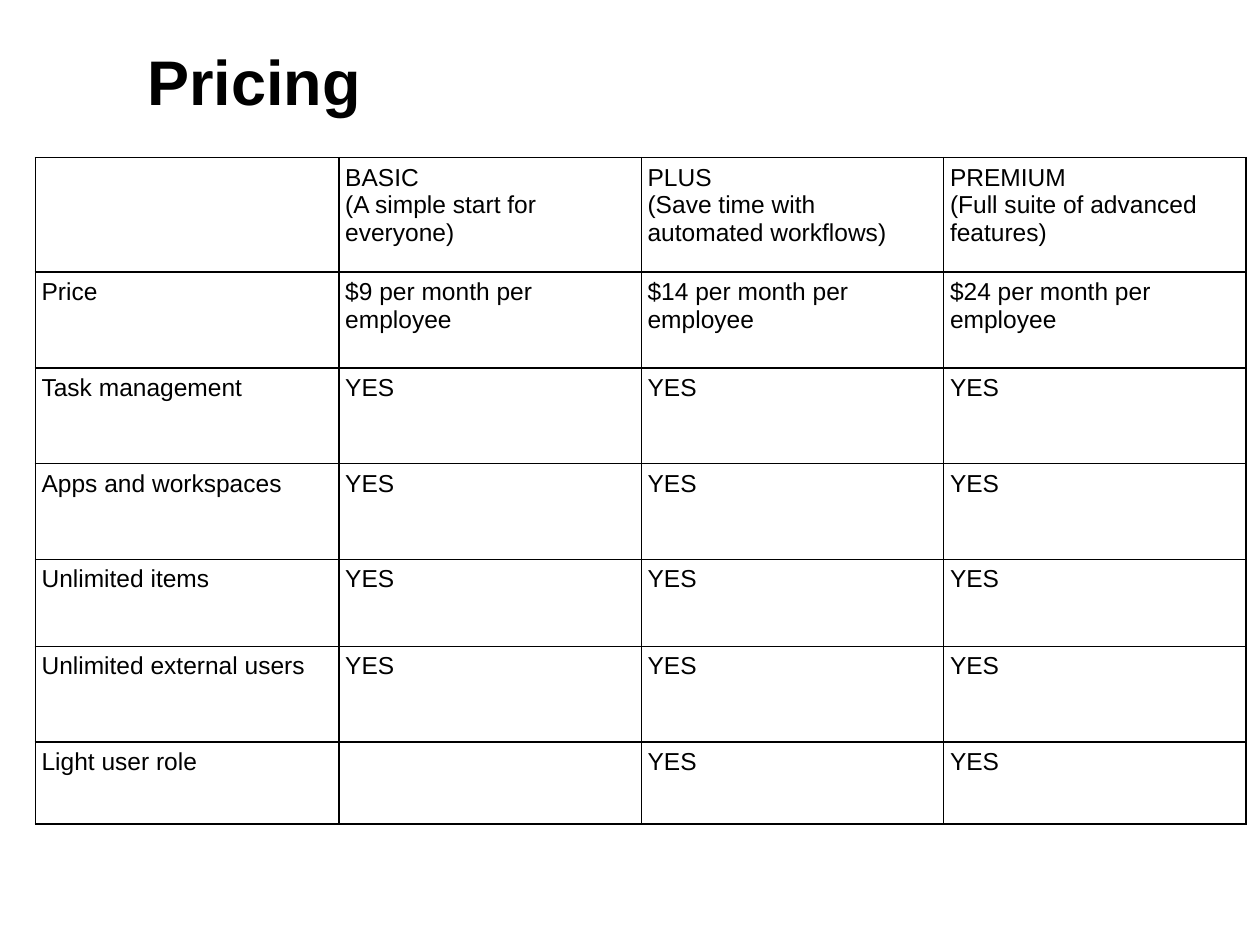
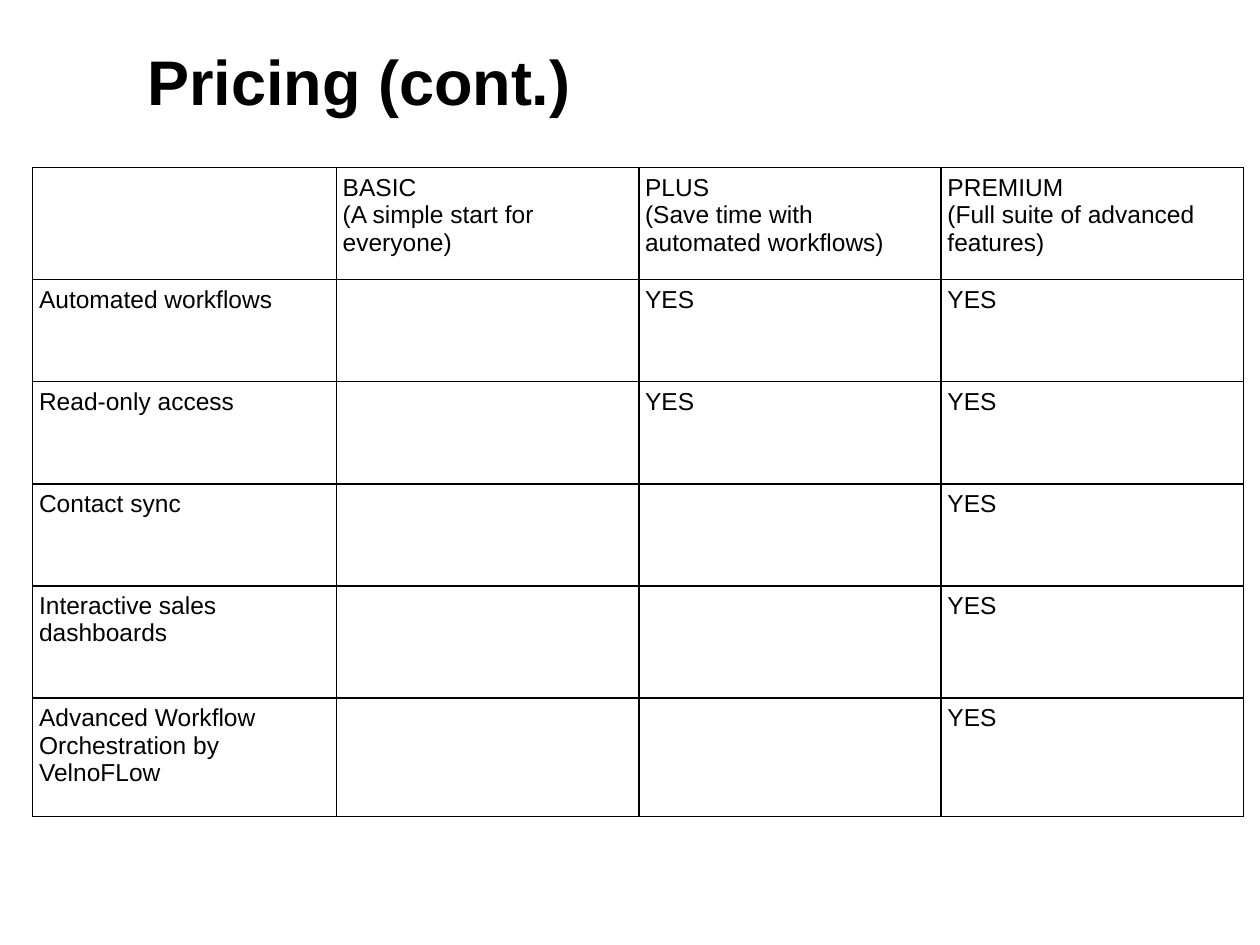
import pptx
import pptx.util
import pptx.dml.color
import pptx.enum.text
import pptx.oxml
import pptx.oxml.ns

Inches, Pt = pptx.util.Inches, pptx.util.Pt
COLORS = {"ink": "000000", "page": "FFFFFF"}
TITLE_BOX = (1.07, 0.28, 7.99, 0.71)
TITLE_FONT = {"name": "Arial", "size": Pt(36), "bold": True}
CELL_FONT = {"name": "Arial", "size": Pt(14), "bold": False}
COLS = [2.41, 2.4, 2.4, 2.4]
PAD = Inches(0.05)
MARGINS = {f"margin_{side}": PAD for side in ("left", "right", "top", "bottom")}

HEAD = [
    "",
    "BASIC\n(A simple start for everyone)",
    "PLUS\n(Save time with automated workflows)",
    "PREMIUM\n(Full suite of advanced features)",
]
PRICE = ["Price"] + [f"${cost} per month per employee" for cost in (9, 14, 24)]


def hue(key):
    return pptx.dml.color.RGBColor.from_string(COLORS[key])


def assign(item, values):
    for name, value in values.items():
        setattr(item, name, value)


def style(frame, font):
    """Apply one font to every paragraph of a text frame."""
    for para in frame.paragraphs:
        assign(para.font, font)
        para.font.color.rgb = hue("ink")


def perk(name, first):
    """Row for a feature that every plan has from column `first` on."""
    return [name] + ["YES" if col >= first else "" for col in range(1, len(COLS))]


def border(cell):
    """Draw a 1 pt line on all four sides of a cell."""
    props = cell._tc.get_or_add_tcPr()
    for spot, side in enumerate("LRTB"):
        line = pptx.oxml.parse_xml(
            f'<a:ln{side} {pptx.oxml.ns.nsdecls("a")} w="{Pt(1)}"><a:solidFill>'
            f'<a:srgbClr val="{COLORS["ink"]}"/></a:solidFill></a:ln{side}>'
        )
        props.insert(spot, line)


def add_title(slide, box, text):
    title = slide.shapes.title
    assign(title, dict(zip(("left", "top", "width", "height"), map(Inches, box))))
    frame = title.text_frame
    frame.text = text
    assign(frame, {
        "word_wrap": True,
        "auto_size": pptx.enum.text.MSO_AUTO_SIZE.NONE,
        "vertical_anchor": pptx.enum.text.MSO_ANCHOR.MIDDLE,
    })
    frame.paragraphs[0].alignment = pptx.enum.text.PP_ALIGN.LEFT
    style(frame, TITLE_FONT)


def add_grid(slide, left, top, rows, heights):
    box = map(Inches, (left, top, sum(COLS), sum(heights)))
    grid = slide.shapes.add_table(len(rows), len(COLS), *box).table
    assign(grid, {"first_row": False, "horz_banding": False})
    for col, width in zip(grid.columns, COLS):
        col.width = Inches(width)
    for line, height, texts in zip(grid.rows, heights, rows):
        line.height = Inches(height)
        for cell, text in zip(line.cells, texts):
            cell.text = text
            assign(cell, MARGINS)
            style(cell.text_frame, CELL_FONT)
            cell.fill.background()
            border(cell)


def add_page(deck, title, left, top, rows, heights):
    slide = deck.slides.add_slide(deck.slide_layouts.get_by_name("Title Only"))
    fill = slide.background.fill
    fill.solid()
    fill.fore_color.rgb = hue("page")
    add_title(slide, TITLE_BOX, title)
    add_grid(slide, left, top, [HEAD] + rows, heights)


def main():
    deck = pptx.Presentation()
    assign(deck, {"slide_width": Inches(10), "slide_height": Inches(7.5)})

    # Price and core features
    core = [
        PRICE,
        perk("Task management", 1),
        perk("Apps and workspaces", 1),
        perk("Unlimited items", 1),
        perk("Unlimited external users", 1),
        perk("Light user role", 2),
    ]
    add_page(deck, "Pricing", 0.28, 1.25, core,
             [0.91, 0.76, 0.76, 0.76, 0.69, 0.76, 0.65])

    # Features of the higher plans
    extra = [
        perk("Automated workflows", 2),
        perk("Read-only access", 2),
        perk("Contact sync", 3),
        perk("Interactive sales dashboards", 3),
        perk("Advanced Workflow Orchestration by VelnoFLow", 3),
    ]
    add_page(deck, "Pricing (cont.)", 0.26, 1.33, extra,
             [0.89, 0.81, 0.81, 0.81, 0.89, 0.94])

    deck.save("out.pptx")


if __name__ == "__main__":
    main()
